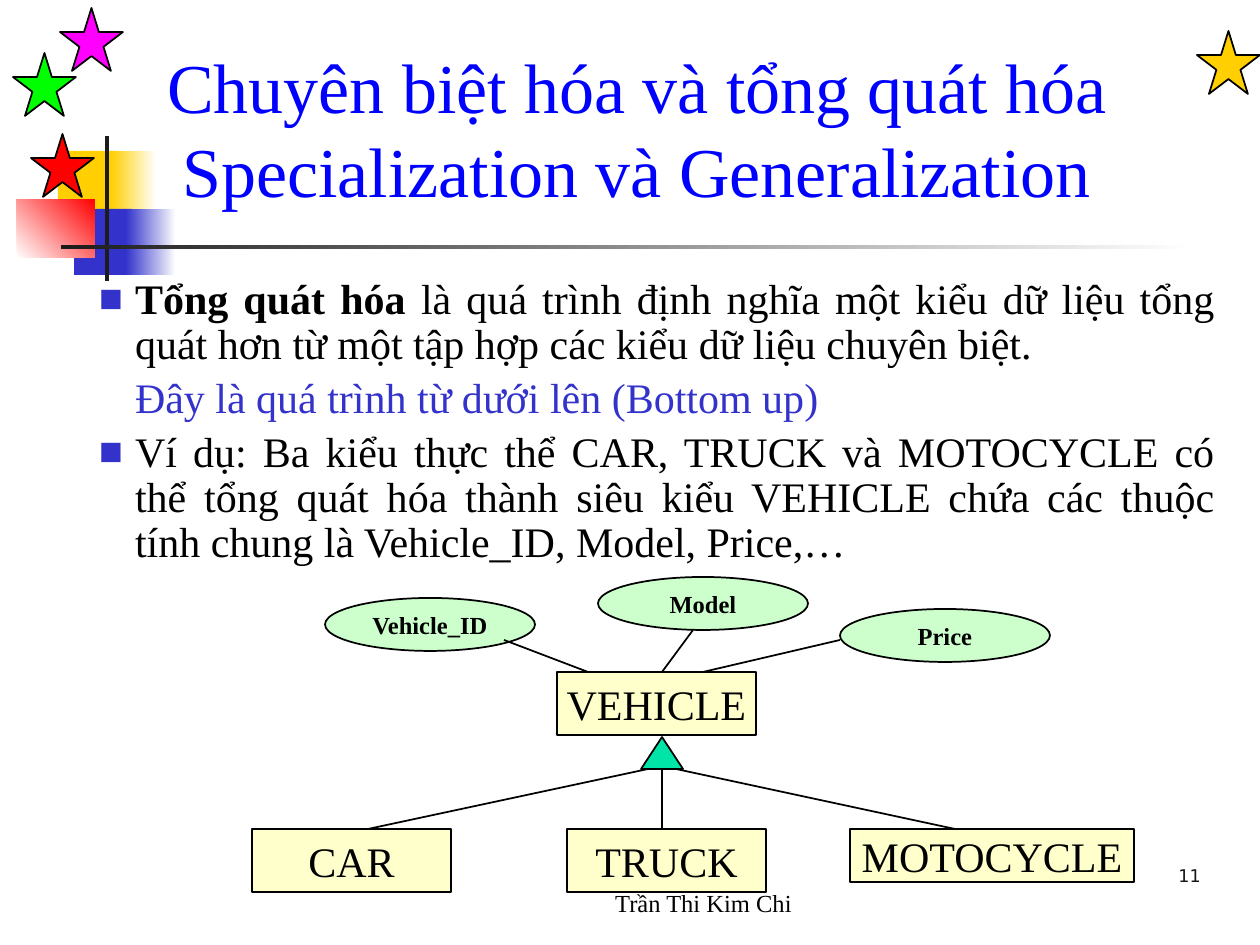
from lxml import etree
from pptx import Presentation
from pptx.dml.color import RGBColor
from pptx.enum import shapes, text
from pptx.oxml.ns import qn
from pptx.util import Emu, Pt

SCALE = 914400 / 126
SERIF = "Times New Roman"
SANS = "DejaVu Sans"
COLORS = {
    "black": "000000", "white": "FFFFFF", "gold": "FFCF01", "indigo": "3333CC",
    "red": "FF0000", "green": "00FF00", "magenta": "FF00FF", "blue": "0000FF",
    "charcoal": "1C1C1C", "ink": "151515", "cream": "FFFFCC", "mint": "CCFFCC",
    "teal": "00E4A8",
}
KINDS = shapes.MSO_SHAPE
ALIGN = text.PP_ALIGN
ANCHOR = text.MSO_ANCHOR


def px(length):
    return Emu(round(length * SCALE))


def rgb(name):
    return RGBColor.from_string(COLORS[name])


def place(origin, x, y, w, h):
    return px(origin[0] + x), px(origin[1] + y), px(w), px(h)


def add_run(paragraph, words, size, color, bold=False, font=SERIF):
    run = paragraph.add_run()
    run.text = words
    run.font.name = font
    run.font.size = Pt(size)
    run.font.bold = bold
    run.font.color.rgb = rgb(color)


def add_figure(slide, kind, area, fill, outlined=True, fade_to=None, angle=0):
    figure = slide.shapes.add_shape(kind, *area)
    figure.shadow.inherit = False
    if fade_to:
        figure.fill.gradient()
        figure.fill.gradient_angle = angle
        for stop, color in zip(figure.fill.gradient_stops, (fill, fade_to)):
            stop.color.rgb = rgb(color)
    else:
        figure.fill.solid()
        figure.fill.fore_color.rgb = rgb(fill)
    if outlined:
        figure.line.color.rgb = rgb("black")
        figure.line.width = Pt(1)
    else:
        figure.line.fill.background()
    return figure


def add_node(slide, kind, area, fill, label, size, bold=False):
    frame = add_figure(slide, kind, area, fill).text_frame
    frame.word_wrap = False
    frame.vertical_anchor = ANCHOR.MIDDLE
    paragraph = frame.paragraphs[0]
    paragraph.alignment = ALIGN.CENTER
    add_run(paragraph, label, size, "black", bold)


def add_link(slide, origin, start, end):
    link = slide.shapes.add_connector(
        shapes.MSO_CONNECTOR.STRAIGHT,
        px(origin[0] + start[0]), px(origin[1] + start[1]),
        px(origin[0] + end[0]), px(origin[1] + end[1]))
    link.line.color.rgb = rgb("black")
    link.line.width = Pt(1)
    etree.SubElement(link._element.spPr, qn("a:effectLst"))


def add_frame(slide, box, anchor):
    frame = slide.shapes.add_textbox(*place((0, 0), *box)).text_frame
    frame.word_wrap = True
    frame.vertical_anchor = anchor
    return frame


def add_bullet(paragraph):
    props = paragraph._p.get_or_add_pPr()
    props.set("indent", str(-px(36)))
    color = etree.SubElement(props, qn("a:buClr"))
    etree.SubElement(color, qn("a:srgbClr"), val=COLORS["indigo"])
    etree.SubElement(props, qn("a:buSzPct"), val="60000")
    etree.SubElement(props, qn("a:buFont"), typeface=SANS)
    etree.SubElement(props, qn("a:buChar"), char="■")


def draw_ornament(slide, box):
    blocks = [
        (58, 151, 60, 66, "gold", None, 0),
        (111, 151, 45, 66, "gold", "white", 0),
        (74, 209, 58, 66, "indigo", None, 0),
        (126, 209, 50, 66, "indigo", "white", 0),
        (17, 199, 78, 59, "white", "red", 45),
        (105, 136, 4, 145, "charcoal", None, 0),
        (61, 245, 1134, 4, "charcoal", "white", 0),
    ]
    for x, y, w, h, fill, fade_to, angle in blocks:
        add_figure(slide, KINDS.RECTANGLE, place(box, x, y, w, h), fill,
                   False, fade_to, angle)
    stars = [(1197, 31, "gold"), (31, 134, "red"),
             (13, 53, "green"), (60, 8, "magenta")]
    for x, y, fill in stars:
        add_figure(slide, KINDS.STAR_5_POINT, place(box, x, y, 63, 63), fill)


def write_title(slide, box):
    heading = add_frame(slide, box, ANCHOR.BOTTOM).paragraphs[0]
    heading.alignment = ALIGN.CENTER
    add_run(heading, "Chuyên biệt hóa và tổng quát hóa", 40, "blue")
    heading.add_line_break()
    add_run(heading, "Specialization và Generalization", 40, "blue")


def write_body(slide, box):
    frame = add_frame(slide, box, ANCHOR.TOP)
    frame.margin_left, frame.margin_top = px(25), px(13)
    frame.margin_right, frame.margin_bottom = px(13), px(6)
    points = [
        (True, [("Tổng quát hóa ", "black", True),
                ("là quá trình định nghĩa một kiểu dữ liệu tổng quát hơn "
                 "từ một tập hợp các kiểu dữ liệu chuyên biệt.", "black", False)]),
        (False, [("Đây là quá trình từ dưới lên (Bottom up)", "indigo", False)]),
        (True, [("Ví dụ: Ba kiểu thực thể CAR, TRUCK và MOTOCYCLE có thể "
                 "tổng quát hóa thành siêu kiểu VEHICLE chứa các thuộc tính "
                 "chung là Vehicle_ID, Model, Price,…", "black", False)]),
    ]
    for index, (bulleted, pieces) in enumerate(points):
        point = frame.add_paragraph() if index else frame.paragraphs[0]
        point._p.get_or_add_pPr().set("marL", str(px(36)))
        if bulleted:
            add_bullet(point)
        point.alignment = ALIGN.JUSTIFY
        point.line_spacing = 0.9
        point.space_before = Pt(4.8 if index else 0)
        for words, color, bold in pieces:
            add_run(point, words, 24, color, bold)


def draw_hierarchy(slide, box):
    entities = [("CAR", 0, 252, 199, 63), ("TRUCK", 315, 252, 199, 63),
                ("MOTOCYCLE", 598, 252, 284, 53), ("VEHICLE", 305, 95, 199, 63)]
    for label, *area in entities:
        add_node(slide, KINDS.RECTANGLE, place(box, *area), "cream", label, 24)
    for x in (116, 410, 703):
        add_link(slide, box, (x, 252), (410, 189))
    add_figure(slide, KINDS.FLOWCHART_EXTRACT, place(box, 389, 160, 42, 32), "teal")

    attributes = [("Vehicle_ID", 73, 21, (252, 63), 336),
                  ("Model", 346, 0, (441, 53), 410),
                  ("Price", 588, 32, (588, 63), 451)]
    for label, x, y, start, end_x in attributes:
        add_node(slide, KINDS.OVAL, place(box, x, y, 210, 53), "mint", label, 14, True)
        add_link(slide, box, start, (end_x, 95))


def write_footer(slide, number_box, author_box):
    number = add_frame(slide, number_box, ANCHOR.BOTTOM).paragraphs[0]
    number.alignment = ALIGN.RIGHT
    add_run(number, "11", 10, "ink", font=SANS)
    author = add_frame(slide, author_box, ANCHOR.BOTTOM).paragraphs[0]
    author.alignment = ALIGN.CENTER
    add_run(author, "Trần Thi Kim Chi", 14, "black")


def main():
    deck = Presentation()
    deck.slide_width, deck.slide_height = px(1260), px(945)
    slide = deck.slides.add_slide(deck.slide_layouts[6])
    draw_ornament(slide, (0, 0))
    write_title(slide, (73, 73, 1128, 145))
    write_body(slide, (74, 265, 1154, 624))
    draw_hierarchy(slide, (252, 577))
    write_footer(slide, (1150, 842, 63, 50), (504, 861, 399, 63))
    deck.save("out.pptx")


if __name__ == "__main__":
    main()
